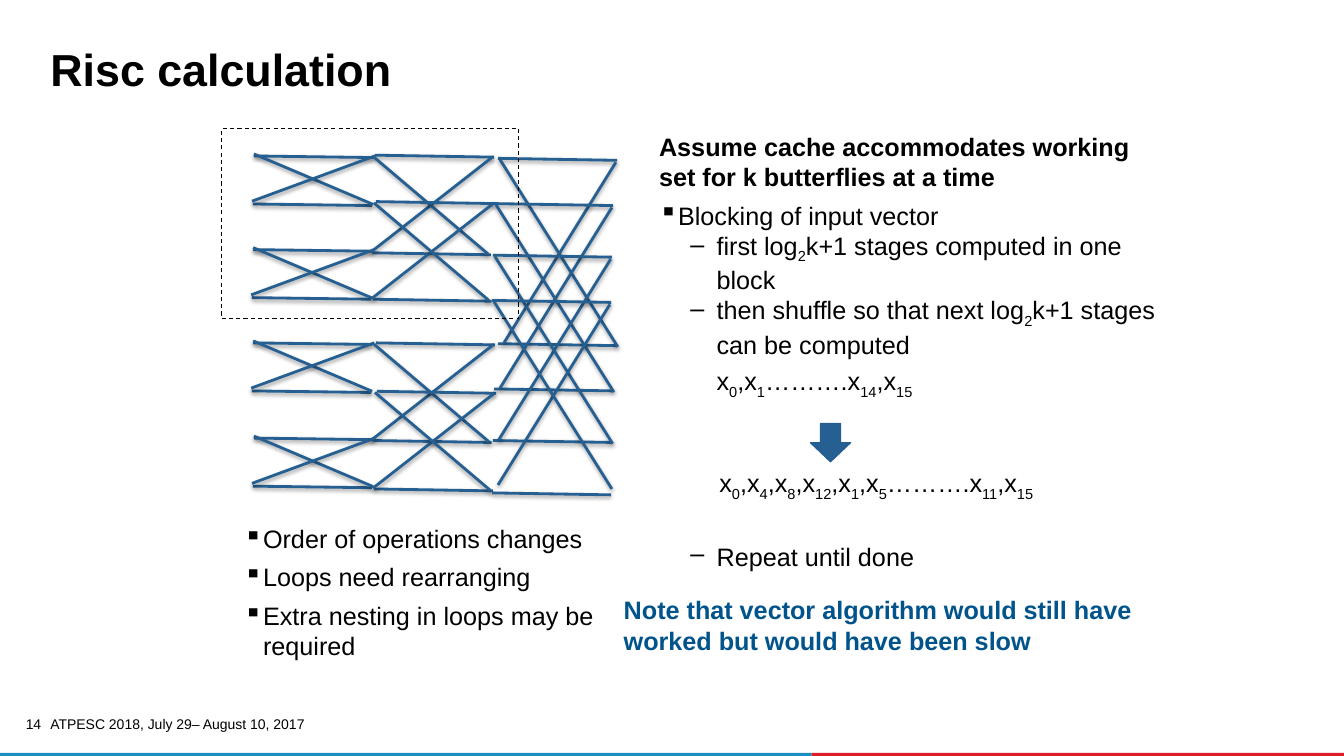
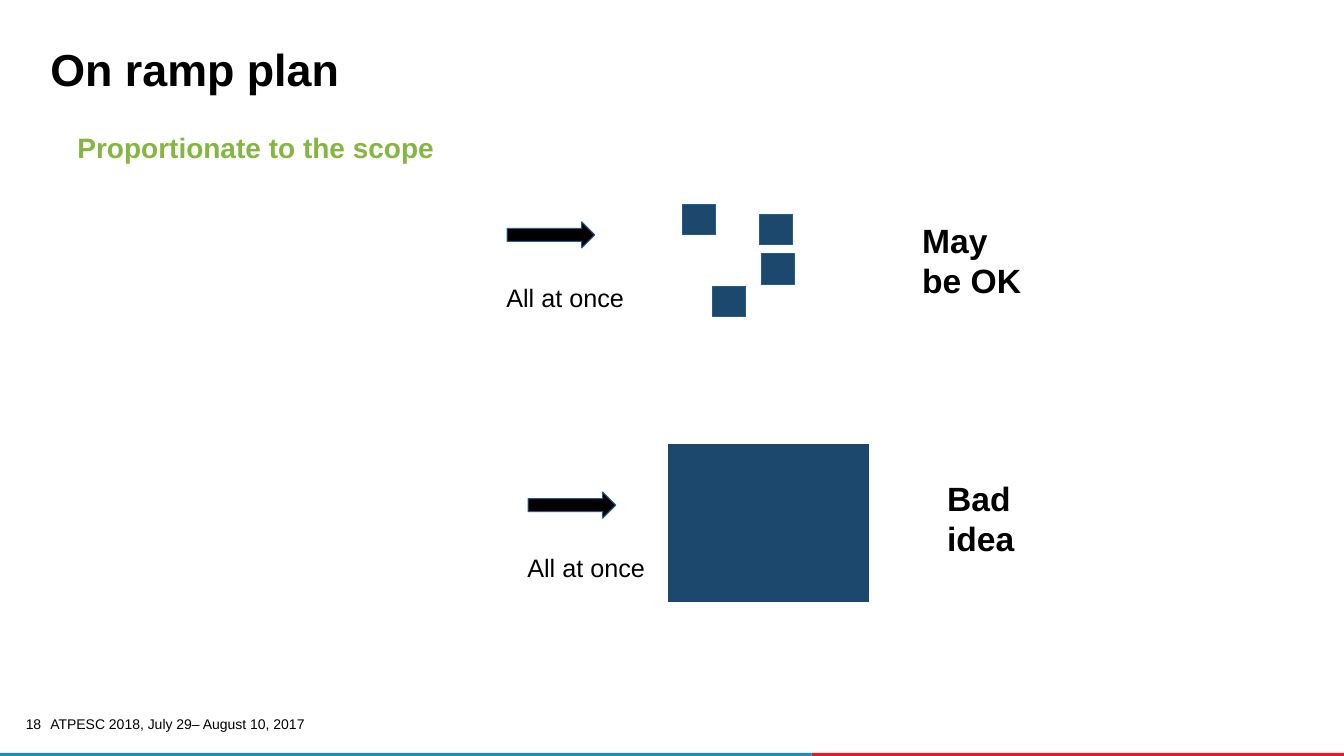
"""Build two slides on butterfly blocking and on ramp plans."""
from dataclasses import dataclass

import lxml.etree
import pptx
import pptx.dml.color
import pptx.enum.dml
import pptx.enum.shapes
import pptx.enum.text
import pptx.oxml.ns
import pptx.util

Cm = pptx.util.Cm
Pt = pptx.util.Pt
RGBColor = pptx.dml.color.RGBColor
SHAPE = pptx.enum.shapes.MSO_SHAPE
ANCHOR = pptx.enum.text.MSO_ANCHOR
ALIGN = pptx.enum.text.PP_ALIGN
qn = pptx.oxml.ns.qn

BLACK = RGBColor(0x00, 0x00, 0x00)
WHITE = RGBColor(0xFF, 0xFF, 0xFF)
RED = RGBColor(0xDA, 0x1F, 0x28)
SKY = RGBColor(0x1B, 0x8D, 0xC3)
BLUE = RGBColor(0x26, 0x60, 0x92)
EDGE = RGBColor(0x23, 0x5E, 0x91)
NAVY = RGBColor(0x1C, 0x48, 0x6E)
NOTE = RGBColor(0x00, 0x54, 0x8B)
GREEN = RGBColor(0x84, 0xB6, 0x41)

FONT = "Arial"
FOOTER = "ATPESC 2018, July 29– August 10, 2017"
WIDE, HIGH = 33.87, 19.05
SPLIT = 20.45
INDENT = {"▪": (0.48, 0.48, 0), "–": (1.45, 0.66, 1)}

# Each stage holds its four strokes (x1, y1, x2, y2) and its spots (x, y, sag).
STAGES = [
    ([(0, 0, 3, 0.04), (-0.03, 1.21, 2.97, 1.25),
      (0, -0.05, 3, 1.22), (-0.05, 1.14, 3.05, 0)],
     [(6.4, 3.93, 0), (6.38, 6.29, 0), (6.38, 8.64, 0), (6.4, 11.04, 0)]),
    ([(0, 0, 3, 0.05), (-0.08, 2.46, 2.92, 2.51),
      (-0.1, 2.44, 2.97, 0.04), (-0.05, 0.03, 2.85, 2.49)],
     [(9.45, 3.91, 0), (9.47, 5.08, 0), (9.47, 8.64, 0), (9.5, 9.86, 0)]),
    ([(0, 0, 3, 0.05), (0, 4.67, 3, 4.72),
      (2.97, 0.1, 0.15, 4.65), (0.05, 0.03, 3.02, 4.75)],
     [(12.55, 3.99, 0), (12.45, 5.13, 0), (12.42, 6.43, 0), (12.4, 7.57, 0.18)]),
]


@dataclass
class Para:
    """Hold one paragraph; bars in the text enclose subscripts."""
    text: str
    size: int = 18
    bold: bool = False
    color: RGBColor = BLACK
    mark: str = ""
    before: int = 0
    line: float = 1.0
    align: ALIGN = ALIGN.LEFT


def fill_para(para, item):
    """Write one Para into a text frame paragraph."""
    para.alignment = item.align
    para.line_spacing = item.line
    para.space_before = Pt(item.before)
    if item.mark:
        left, hang, level = INDENT[item.mark]
        para.level = level
        props = para._p.get_or_add_pPr()
        props.set("marL", str(Cm(left)))
        props.set("indent", str(-Cm(hang)))
        lxml.etree.SubElement(props, qn("a:buChar")).set("char", item.mark)
    font = para.font
    font.name, font.size, font.bold = FONT, Pt(item.size), item.bold
    font.color.rgb = item.color
    for spot, part in enumerate(item.text.split("|")):
        run = para.add_run()
        run.text = part
        if spot % 2:
            run._r.get_or_add_rPr().set("baseline", "-25000")


def add_text(slide, x, y, w, h, *items, pad=True, anchor=ANCHOR.TOP):
    """Add a text box with the given paragraphs."""
    frame = slide.shapes.add_textbox(Cm(x), Cm(y), Cm(w), Cm(h)).text_frame
    frame.word_wrap = True
    frame.vertical_anchor = anchor
    if not pad:
        frame.margin_left = frame.margin_right = 0
        frame.margin_top = frame.margin_bottom = 0
    for spot, item in enumerate(items):
        para = frame.add_paragraph() if spot else frame.paragraphs[0]
        fill_para(para, item)


def add_form(slide, kind, x, y, w, h, fill=None, edge=None):
    """Add a preset shape with optional fill and outline."""
    form = slide.shapes.add_shape(kind, Cm(x), Cm(y), Cm(w), Cm(h))
    form.shadow.inherit = False
    if fill is None:
        form.fill.background()
    else:
        form.fill.solid()
        form.fill.fore_color.rgb = fill
    if edge is None:
        form.line.fill.background()
    else:
        form.line.color.rgb = edge
        form.line.width = Pt(0.75)
    return form


def add_stroke(slide, x1, y1, x2, y2):
    """Add one blue line with a soft shadow."""
    line = slide.shapes.add_connector(
        pptx.enum.shapes.MSO_CONNECTOR.STRAIGHT, Cm(x1), Cm(y1), Cm(x2), Cm(y2))
    line.line.color.rgb = BLUE
    line.line.width = Pt(2)
    list_el = lxml.etree.SubElement(line._element.spPr, qn("a:effectLst"))
    shade = lxml.etree.SubElement(
        list_el, qn("a:outerShdw"), blurRad=str(Pt(3.1)), dist=str(Pt(1.6)),
        dir="5400000", rotWithShape="0")
    color = lxml.etree.SubElement(shade, qn("a:srgbClr"), val=str(BLACK))
    lxml.etree.SubElement(color, qn("a:alpha"), val="38000")


def add_mesh(slide):
    """Draw all butterflies, stage by stage."""
    for strokes, spots in STAGES:
        for x, y, sag in spots:
            for spot, (x1, y1, x2, y2) in enumerate(strokes):
                top = y + sag if spot == 1 else y
                add_stroke(slide, x + x1, top + y1, x + x2, top + y2)


def add_page(deck, title, number):
    """Add a slide with the shared title, footer and band."""
    slide = deck.slides.add_slide(deck.slide_layouts[6])
    add_form(slide, SHAPE.RECTANGLE, SPLIT, 18.97, WIDE - SPLIT, 0.08, RED)
    add_form(slide, SHAPE.RECTANGLE, 0, 18.97, SPLIT, 0.08, SKY)
    add_text(slide, 1.02, 17.98, 9.22, 0.51, Para(FOOTER, 10),
             anchor=ANCHOR.MIDDLE)
    add_text(slide, 0.46, 18.08, 0.58, 0.43,
             Para(str(number), 10, line=0.9, align=ALIGN.RIGHT), pad=False)
    add_text(slide, 1.02, 1.14, 31.6, 1.42, Para(title, 32, True, line=0.85))
    return slide


def add_push(slide, x, y):
    """Add a black arrow with its label below."""
    add_form(slide, SHAPE.RIGHT_ARROW, x, y, 2.21, 0.66, BLACK, EDGE)
    add_text(slide, x - 0.27, y + 1.4, 3.53, 1.02, Para("All at once"))


def build_risc(deck):
    """Build the slide on blocking of butterflies."""
    slide = add_page(deck, "Risc calculation", 14)
    add_mesh(slide)
    block = add_form(slide, SHAPE.RECTANGLE, 5.59, 3.25, 7.49, 4.78, edge=BLACK)
    block.line.dash_style = pptx.enum.dml.MSO_LINE.DASH
    add_text(
        slide, 16.61, 3.3, 12.57, 11.94,
        Para("Assume cache accommodates working set for k butterflies at a time",
             bold=True),
        Para("Blocking of input vector", mark="▪", before=6),
        Para("first log|2|k+1 stages computed in one block", mark="–"),
        Para("then shuffle so that next log|2|k+1 stages can be computed",
             mark="–"),
        Para("Repeat until done", mark="–", before=130), pad=False)
    add_text(slide, 17.81, 9.09, 5.69, 1.02,
             Para("x|0|,x|1|……….x|14|,x|15"))
    add_form(slide, SHAPE.DOWN_ARROW, 20.42, 10.67, 1.02, 0.97, BLUE, EDGE)
    add_text(slide, 17.88, 11.66, 9.07, 1.02,
             Para("x|0|,x|4|,x|8|,x|12|,x|1|,x|5|……….x|11|,x|15"))
    add_text(
        slide, 6.15, 13.18, 10.34, 3.78,
        Para("Order of operations changes", mark="▪"),
        Para("Loops need rearranging", mark="▪", before=6),
        Para("Extra nesting in loops may be required", mark="▪", before=6),
        pad=False)
    add_text(
        slide, 15.47, 14.86, 13.5, 1.8,
        Para("Note that vector algorithm would still have", 18, True, NOTE),
        Para("worked but would have been slow", 18, True, NOTE))


def build_ramp(deck):
    """Build the slide on the size of a ramp plan."""
    slide = add_page(deck, "On ramp plan", 18)
    add_text(slide, 1.7, 3.25, 31, 1.4,
             Para("Proportionate to the scope", 20, True, GREEN, line=0.9))
    for x, y in [(17.2, 5.16), (17.96, 7.21), (19.18, 6.4), (19.13, 5.41)]:
        add_form(slide, SHAPE.RECTANGLE, x, y, 0.84, 0.76, NAVY, EDGE)
    add_form(slide, SHAPE.RECTANGLE, 16.81, 11.18, 5.11, 4.01, NAVY, WHITE)
    add_push(slide, 12.78, 5.59)
    add_push(slide, 13.31, 12.4)
    for x, y, text in [(22.99, 5.41, "May be OK"), (23.62, 11.91, "Bad idea")]:
        add_text(slide, x, y, 3.23, 2.31, Para(text, 24, True))


def main():
    """Build the deck and save it."""
    deck = pptx.Presentation()
    deck.slide_width, deck.slide_height = Cm(WIDE), Cm(HIGH)
    build_risc(deck)
    build_ramp(deck)
    deck.save("out.pptx")


if __name__ == "__main__":
    main()
